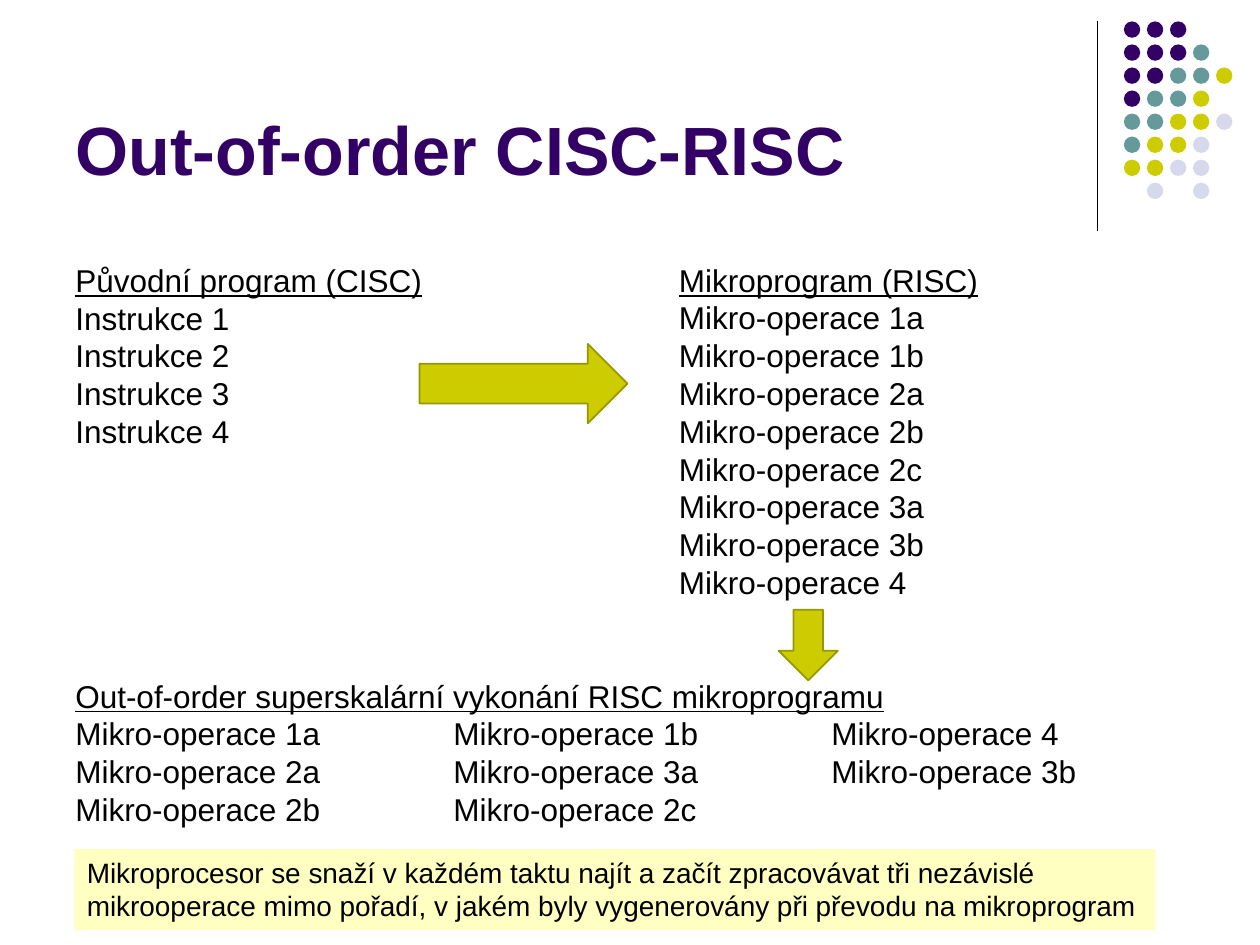
import pptx
import pptx.util
import pptx.dml.color
import pptx.enum.shapes
import pptx.enum.text
import pptx.oxml.ns
import lxml.etree

Inches = pptx.util.Inches
SHAPES = pptx.enum.shapes.MSO_SHAPE
ANCHORS = pptx.enum.text.MSO_ANCHOR
qn = pptx.oxml.ns.qn

COLORS = {
    "purple": "330066",
    "teal": "669999",
    "olive": "CCCC00",
    "olive_edge": "979700",
    "lavender": "D8D8EC",
    "note": "FFFFC2",
    "black": "000000",
}


def color(name):
    return pptx.dml.color.RGBColor.from_string(COLORS[name])


def write_text(shape, text, size=18, color_name="black", bold=False,
               heading=False, anchor=ANCHORS.TOP, tab_stops=()):
    """Fill a shape with one paragraph per line; a heading is underlined."""
    frame = shape.text_frame
    frame.word_wrap = True
    frame.vertical_anchor = anchor
    for index, line in enumerate(text.split("\n")):
        paragraph = frame.paragraphs[0] if index == 0 else frame.add_paragraph()
        paragraph.alignment = pptx.enum.text.PP_ALIGN.LEFT
        if "\t" in line:
            tab_list = lxml.etree.SubElement(paragraph._p.get_or_add_pPr(), qn("a:tabLst"))
            for stop in tab_stops:
                lxml.etree.SubElement(tab_list, qn("a:tab"), pos=str(Inches(stop)), algn="l")
        run = paragraph.add_run()
        run.text = line
        run.font.name = "Arial"
        run.font.size = pptx.util.Pt(size)
        run.font.bold = bold
        run.font.underline = heading and index == 0
        run.font.color.rgb = color(color_name)


def add_filled(slide, kind, left, top, width, height, fill, line=None):
    shape = slide.shapes.add_shape(
        kind, Inches(left), Inches(top), Inches(width), Inches(height))
    shape.shadow.inherit = False
    shape.fill.solid()
    shape.fill.fore_color.rgb = color(fill)
    if line:
        shape.line.color.rgb = color(line)
        shape.line.width = pptx.util.Pt(1)
    else:
        shape.line.fill.background()
    return shape


presentation = pptx.Presentation()
presentation.slide_width = Inches(10)
presentation.slide_height = Inches(7.5)
slide = presentation.slides.add_slide(presentation.slide_layouts[6])

# Vertical rule beside the dots
rule = slide.shapes.add_connector(
    pptx.enum.shapes.MSO_CONNECTOR.STRAIGHT,
    Inches(8.71), Inches(0.17), Inches(8.71), Inches(1.83))
rule.line.color.rgb = color("black")
rule.line.width = pptx.util.Pt(0.75)
lxml.etree.SubElement(rule._element.spPr, qn("a:effectLst"))

# Dot pattern: one letter per dot, a point where there is none
dot_colors = {"P": "purple", "T": "teal", "O": "olive", "L": "lavender"}
dot_rows = ["PPP..", "PPPT.", "PPTTO", "PTTO.", "TTOOL", "TOOL.", "OOLL.", ".L.L."]
dot_pitch = 1.28 / 7
for row, letters in enumerate(dot_rows):
    for column, letter in enumerate(letters):
        if letter in dot_colors:
            add_filled(slide, SHAPES.OVAL, 8.92 + column * dot_pitch,
                       0.17 + row * dot_pitch, 0.13, 0.13, dot_colors[letter])

# Title
title = slide.shapes.add_textbox(Inches(0.5), Inches(0.13), Inches(8.25), Inches(1.42))
write_text(title, "Out-of-order CISC-RISC", size=39, color_name="purple",
           bold=True, anchor=ANCHORS.BOTTOM)

# Program listings
instructions = [f"Instrukce {number}" for number in range(1, 5)]
operations = [f"Mikro-operace {name}" for name in "1a 1b 2a 2b 2c 3a 3b 4".split()]
schedule = [["1a", "1b", "4"], ["2a", "3a", "3b"], ["2b", "2c"]]
schedule_lines = ["\t".join(f"Mikro-operace {name}" for name in names) for names in schedule]
listings = [
    (0.5, 2.02, 3.95, 1.62, "Původní program (CISC)", instructions),
    (5.29, 2.02, 4.26, 2.83, "Mikroprogram (RISC)", operations),
    (0.5, 5.32, 9.3, 1.62, "Out-of-order superskalární vykonání RISC mikroprogramu",
     schedule_lines),
]
for left, top, width, height, heading, lines in listings:
    listing = slide.shapes.add_textbox(Inches(left), Inches(top), Inches(width), Inches(height))
    write_text(listing, "\n".join([heading] + lines), heading=True, tab_stops=(3, 6))

# Arrows between the steps
add_filled(slide, SHAPES.RIGHT_ARROW, 3.33, 2.73, 1.65, 0.63, "olive", "olive_edge")
add_filled(slide, SHAPES.DOWN_ARROW, 6.18, 4.84, 0.47, 0.56, "olive", "olive_edge")

# Note at the bottom
note = add_filled(slide, SHAPES.RECTANGLE, 0.59, 6.74, 8.58, 0.64, "note")
write_text(note, "Mikroprocesor se snaží v každém taktu najít a začít zpracovávat tři nezávislé "
           "mikrooperace mimo pořadí, v jakém byly vygenerovány při převodu na mikroprogram",
           size=16)

presentation.save("out.pptx")
